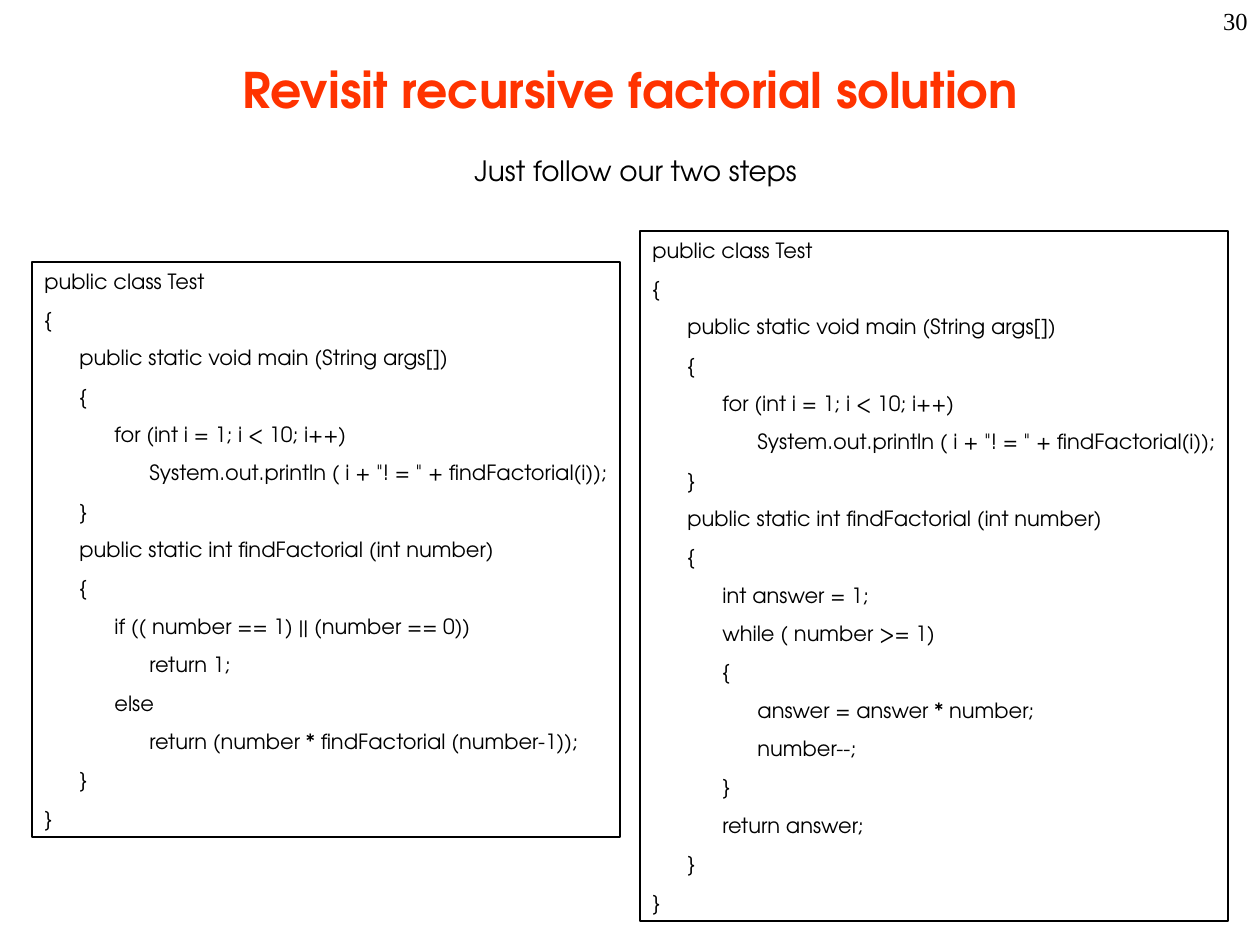
from dataclasses import dataclass

from pptx import Presentation
from pptx.dml.color import RGBColor
from pptx.enum.shapes import MSO_SHAPE
from pptx.enum.text import MSO_ANCHOR, MSO_AUTO_SIZE, PP_ALIGN
from pptx.util import Emu, Pt

# Content: code lines are (indent level, text)
PAGE_NUMBER = "30"
TITLE = "Revisit recursive factorial solution"
SUBTITLE = "Just follow our two steps"
SHARED_START = [
    (0, "public class Test"),
    (0, "{"),
    (1, "public static void main (String args[])"),
    (1, "{"),
    (2, "for (int i = 1; i < 10; i++)"),
    (3, 'System.out.println ( i + "! = " + findFactorial(i));'),
    (1, "}"),
    (1, "public static int findFactorial (int number)"),
    (1, "{"),
]
RECURSIVE_BODY = [
    (2, "if (( number == 1) || (number == 0))"),
    (3, "return 1;"),
    (2, "else"),
    (3, "return (number * findFactorial (number-1));"),
]
ITERATIVE_BODY = [
    (2, "int answer = 1;"),
    (2, "while ( number >= 1)"),
    (2, "{"),
    (3, "answer = answer * number;"),
    (3, "number--;"),
    (2, "}"),
    (2, "return answer;"),
]
SHARED_END = [(1, "}"), (0, "}")]


@dataclass(frozen=True)
class Theme:
    black: RGBColor = RGBColor(0x00, 0x00, 0x00)
    accent: RGBColor = RGBColor(0xFF, 0x33, 0x00)
    font: str = "TeX Gyre Adventor"
    number_font: str = "Times New Roman"
    title_size: int = 28
    subtitle_size: int = 16
    number_size: int = 14
    code_size: int = 12
    outline: float = 0.75


THEME = Theme()

# Geometry in px, 126 px to the inch
SLIDE_W, SLIDE_H = 1260, 945
MARGIN, GAP = 32, 20
CODE_W = (SLIDE_W - 2 * MARGIN - GAP) // 2
INDENT = 35
RIGHT_INSET = 6  # leaves room for the longest code line


def px(length):
    return Emu(round(length * 914400 / 126))


def add_run(paragraph, text, size, color=THEME.black, font=THEME.font, bold=False):
    run = paragraph.add_run()
    run.text = text
    run.font.name = font
    run.font.size = Pt(size)
    run.font.bold = bold
    run.font.color.rgb = color


def add_text(slide, box, wrap=True, anchor=MSO_ANCHOR.TOP, align=PP_ALIGN.LEFT):
    frame = slide.shapes.add_textbox(*map(px, box)).text_frame
    frame.word_wrap = wrap
    frame.vertical_anchor = anchor
    paragraph = frame.paragraphs[0]
    paragraph.alignment = align
    return paragraph


def add_code(slide, column, top, height, lines):
    left = MARGIN + column * (CODE_W + GAP)
    panel = slide.shapes.add_shape(
        MSO_SHAPE.RECTANGLE, *map(px, (left, top, CODE_W, height)))
    panel.shadow.inherit = False
    panel.fill.background()
    panel.line.color.rgb = THEME.black
    panel.line.width = Pt(THEME.outline)
    frame = panel.text_frame
    frame.word_wrap = True
    frame.auto_size = MSO_AUTO_SIZE.SHAPE_TO_FIT_TEXT
    frame.vertical_anchor = MSO_ANCHOR.TOP
    frame.margin_right = px(RIGHT_INSET)
    for i, (level, text) in enumerate(lines):
        paragraph = frame.add_paragraph() if i else frame.paragraphs[0]
        paragraph.alignment = PP_ALIGN.LEFT
        paragraph.space_before = Pt(7.5)
        properties = paragraph._p.get_or_add_pPr()
        properties.set("marL", str(px(level * INDENT)))
        properties.set("indent", "0")
        add_run(paragraph, text, THEME.code_size)


def main():
    prs = Presentation()
    prs.slide_width, prs.slide_height = px(SLIDE_W), px(SLIDE_H)
    slide = prs.slides.add_slide(prs.slide_layouts[6])

    # Page number and headings
    number = add_text(slide, (998, 0, 262, 63), align=PP_ALIGN.RIGHT)
    add_run(number, PAGE_NUMBER, THEME.number_size, font=THEME.number_font)
    title = add_text(slide, (94, 10, 1072, 158), anchor=MSO_ANCHOR.MIDDLE,
                     align=PP_ALIGN.CENTER)
    add_run(title, TITLE, THEME.title_size, THEME.accent, bold=True)
    subtitle = add_text(slide, (462, 147, 349, 47), wrap=False)
    subtitle.space_before = Pt(10)
    add_run(subtitle, SUBTITLE, THEME.subtitle_size)

    # Recursive and iterative versions side by side
    add_code(slide, 0, 262, 575, SHARED_START + RECURSIVE_BODY + SHARED_END)
    add_code(slide, 1, 231, 690, SHARED_START + ITERATIVE_BODY + SHARED_END)

    prs.save("out.pptx")


if __name__ == "__main__":
    main()
